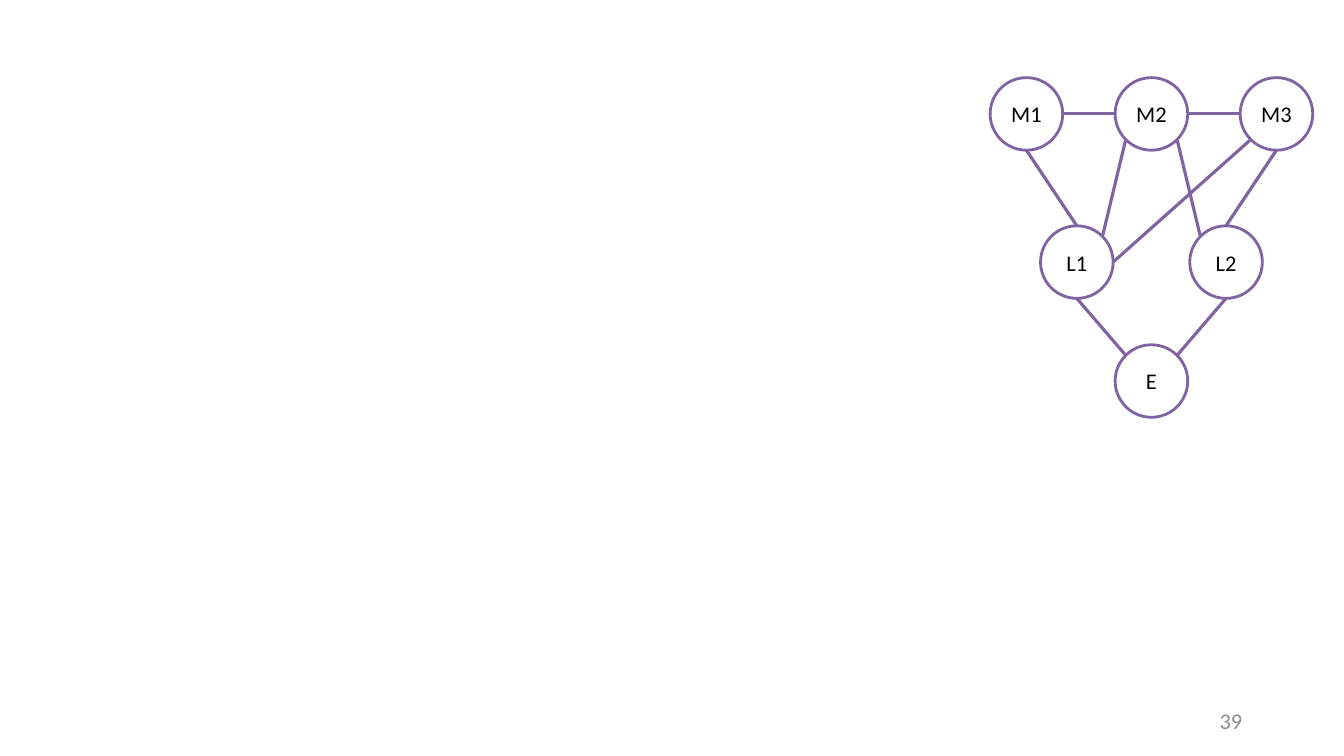
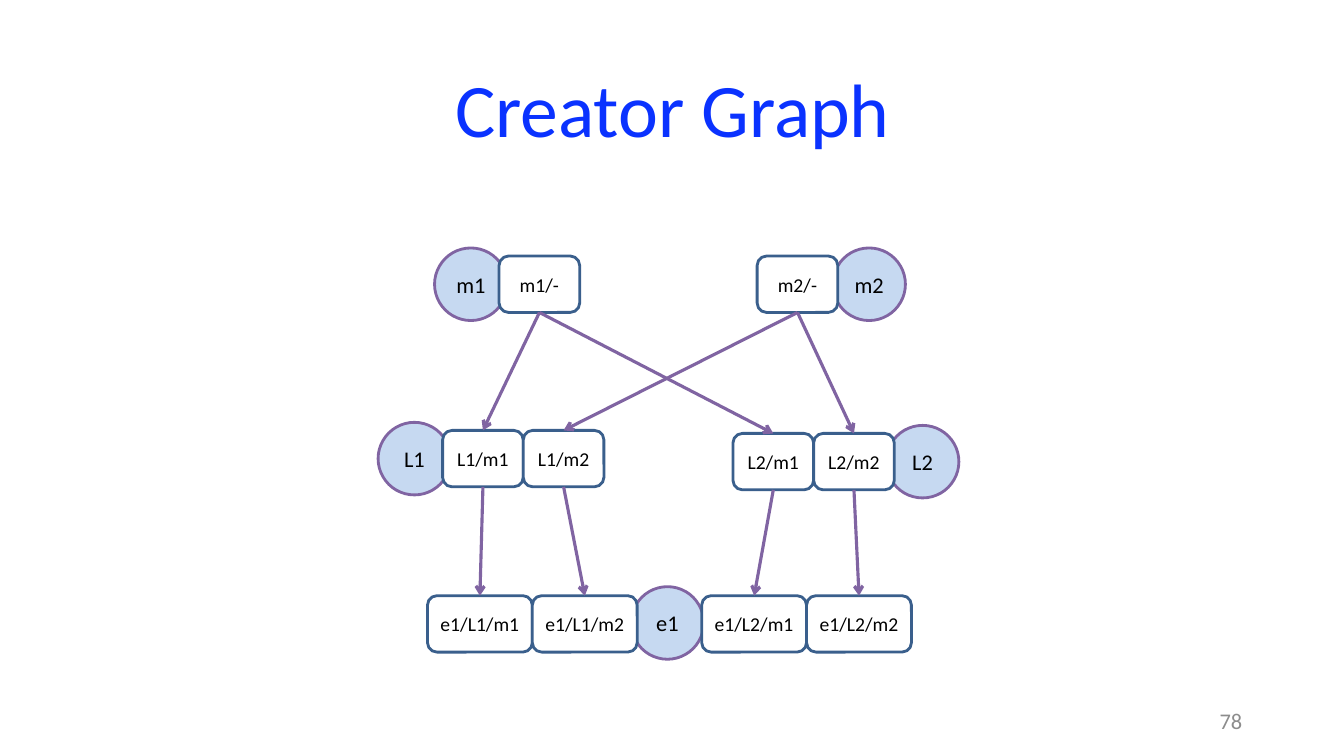
from math import cos, pi, sin

from lxml import etree
from pptx import Presentation
from pptx.dml.color import RGBColor
from pptx.enum.shapes import MSO_CONNECTOR, MSO_SHAPE
from pptx.enum.text import MSO_ANCHOR, PP_ALIGN
from pptx.oxml.ns import qn
from pptx.util import Pt

CENTER, RIGHT = PP_ALIGN.CENTER, PP_ALIGN.RIGHT
MIDDLE = MSO_ANCHOR.MIDDLE
STRAIGHT = MSO_CONNECTOR.STRAIGHT
OVAL, ROUNDED = MSO_SHAPE.OVAL, MSO_SHAPE.ROUNDED_RECTANGLE

EMU_PER_PX = 9144  # 100 px to the inch
SLIDE_SIZE = (1333, 750)
CIRCLE, BOX_HEIGHT = 72, 56

BLACK = RGBColor(0x00, 0x00, 0x00)
WHITE = RGBColor(0xFF, 0xFF, 0xFF)
GRAY = RGBColor(0x8C, 0x8C, 0x8C)
TITLE_BLUE = RGBColor(0x0A, 0x32, 0xFF)
PURPLE = RGBColor(0x80, 0x64, 0xA2)
PALE_BLUE = RGBColor(0xC6, 0xD9, 0xF1)
DARK_BLUE = RGBColor(0x3A, 0x5F, 0x8C)

TITLE_AREA = (92, 40, 1150, 145)
NUMBER_AREA = (942, 695, 300, 40)
TITLE_FONT = {"size": Pt(54), "name": "Calibri"}
NUMBER_FONT = {"size": Pt(16), "name": "Calibri"}
NODE_STYLES = {
    "plain": {"kind": OVAL, "fill": None, "line": PURPLE, "size": 16},
    "circle": {"kind": OVAL, "fill": PALE_BLUE, "line": PURPLE, "size": 16},
    "box": {"kind": ROUNDED, "fill": WHITE, "line": DARK_BLUE, "size": 14},
}

# Connection sites run counterclockwise from the top
SITE_COUNT = {OVAL: 8, ROUNDED: 4}
TOP, TOP_LEFT, LEFT, BOTTOM_LEFT, BOTTOM, BOTTOM_RIGHT, RIGHT_SIDE, TOP_RIGHT = range(8)
BOX_TOP, BOX_BOTTOM = 0, 2

# Circles: label, left, top. Box rows: left, top, box width, labels.
SLIDES = [
    {
        "number": "39",
        "title": None,
        "circle_style": "plain",
        "circles": [("M1", 982, 77), ("M2", 1106, 77), ("M3", 1230, 77),
                    ("L1", 1032, 224), ("L2", 1180, 224), ("E", 1106, 342)],
        "box_rows": [],
        "arrows": False,
        "edges": [
            ("M1", BOTTOM, "L1", TOP),
            ("M3", BOTTOM, "L2", TOP),
            ("M3", BOTTOM_LEFT, "L1", RIGHT_SIDE),
            ("L1", BOTTOM, "E", TOP_LEFT),
            ("L2", BOTTOM, "E", TOP_RIGHT),
            ("M3", LEFT, "M2", RIGHT_SIDE),
            ("M2", BOTTOM_RIGHT, "L2", TOP_LEFT),
            ("M2", BOTTOM_LEFT, "L1", TOP_RIGHT),
            ("M2", LEFT, "M1", RIGHT_SIDE),
        ],
    },
    {
        "number": "78",
        "title": "Creator Graph",
        "circle_style": "circle",
        "circles": [("m1", 431, 246), ("m2", 826, 246), ("L1", 375, 419),
                    ("L2", 879, 422), ("e1", 626, 582)],
        "box_rows": [
            (495, 254, 80, ["m1/-"]),
            (751, 254, 80, ["m2/-"]),
            (439, 427, 80, ["L1/m1", "L1/m2"]),
            (727, 430, 80, ["L2/m1", "L2/m2"]),
            (424, 591, 104, ["e1/L1/m1", "e1/L1/m2"]),
            (696, 591, 104, ["e1/L2/m1", "e1/L2/m2"]),
        ],
        "arrows": True,
        "edges": [(start, BOX_BOTTOM, end, BOX_TOP) for start, end in [
            ("m1/-", "L1/m1"), ("m1/-", "L2/m1"),
            ("m2/-", "L1/m2"), ("m2/-", "L2/m2"),
            ("L1/m1", "e1/L1/m1"), ("L1/m2", "e1/L1/m2"),
            ("L2/m1", "e1/L2/m1"), ("L2/m2", "e1/L2/m2"),
        ]],
    },
]


def emu(*lengths):
    return [round(length * EMU_PER_PX) for length in lengths]


def write(shape, text, align, color, font, line_spacing=1.0):
    frame = shape.text_frame
    frame.word_wrap = True
    frame.vertical_anchor = MIDDLE
    paragraph = frame.paragraphs[0]
    paragraph.text = text
    paragraph.alignment = align
    paragraph.line_spacing = line_spacing
    for name, value in font.items():
        setattr(paragraph.font, name, value)
    paragraph.font.color.rgb = color


def add_node(slide, label, area, style):
    shape = slide.shapes.add_shape(style["kind"], *emu(*area))
    shape.shadow.inherit = False
    if style["fill"] is None:
        shape.fill.background()
    else:
        shape.fill.solid()
        shape.fill.fore_color.rgb = style["fill"]
    shape.line.color.rgb = style["line"]
    shape.line.width = Pt(2)
    frame = shape.text_frame
    for side in ("left", "top", "right", "bottom"):
        setattr(frame, f"margin_{side}", 0)
    write(shape, label, CENTER, BLACK, {"size": Pt(style["size"]), "name": "Calibri"})
    return shape


def site_point(shape, site):
    """Return the place of a connection site on the edge of a node."""
    angle = 2 * pi * site / SITE_COUNT[shape.auto_shape_type]
    return (round(shape.left + shape.width / 2 * (1 - sin(angle))),
            round(shape.top + shape.height / 2 * (1 - cos(angle))))


def add_edge(slide, ends, arrow):
    """Join two (node, site) ends with a line that stays attached to both."""
    (x1, y1), (x2, y2) = [site_point(*end) for end in ends]
    connector = slide.shapes.add_connector(STRAIGHT, x1, y1, x2, y2)
    connector.line.color.rgb = PURPLE
    connector.line.width = Pt(2.25)
    element = connector._element
    links = element.find(".//" + qn("p:cNvCxnSpPr"))
    for tag, (node, site) in zip(("a:stCxn", "a:endCxn"), ends):
        etree.SubElement(links, qn(tag), id=str(node.shape_id), idx=str(site))
    if arrow:
        etree.SubElement(element.spPr.find(qn("a:ln")), qn("a:tailEnd"), type="arrow")
    etree.SubElement(element.spPr, qn("a:effectLst"))


def add_graph(slide, content):
    nodes = {}
    for label, left, top in content["circles"]:
        nodes[label] = add_node(slide, label, (left, top, CIRCLE, CIRCLE),
                                NODE_STYLES[content["circle_style"]])
    for left, top, width, labels in content["box_rows"]:
        for index, label in enumerate(labels):
            area = (left + index * width, top, width, BOX_HEIGHT)
            nodes[label] = add_node(slide, label, area, NODE_STYLES["box"])
    for start, start_site, end, end_site in content["edges"]:
        ends = [(nodes[start], start_site), (nodes[end], end_site)]
        add_edge(slide, ends, content["arrows"])


def main():
    presentation = Presentation()
    presentation.slide_width, presentation.slide_height = emu(*SLIDE_SIZE)
    blank = presentation.slide_layouts[6]
    for content in SLIDES:
        slide = presentation.slides.add_slide(blank)
        if content["title"]:
            title = slide.shapes.add_textbox(*emu(*TITLE_AREA))
            write(title, content["title"], CENTER, TITLE_BLUE, TITLE_FONT, 0.9)
        add_graph(slide, content)
        number = slide.shapes.add_textbox(*emu(*NUMBER_AREA))
        write(number, content["number"], RIGHT, GRAY, NUMBER_FONT)
    presentation.save("out.pptx")


if __name__ == "__main__":
    main()
